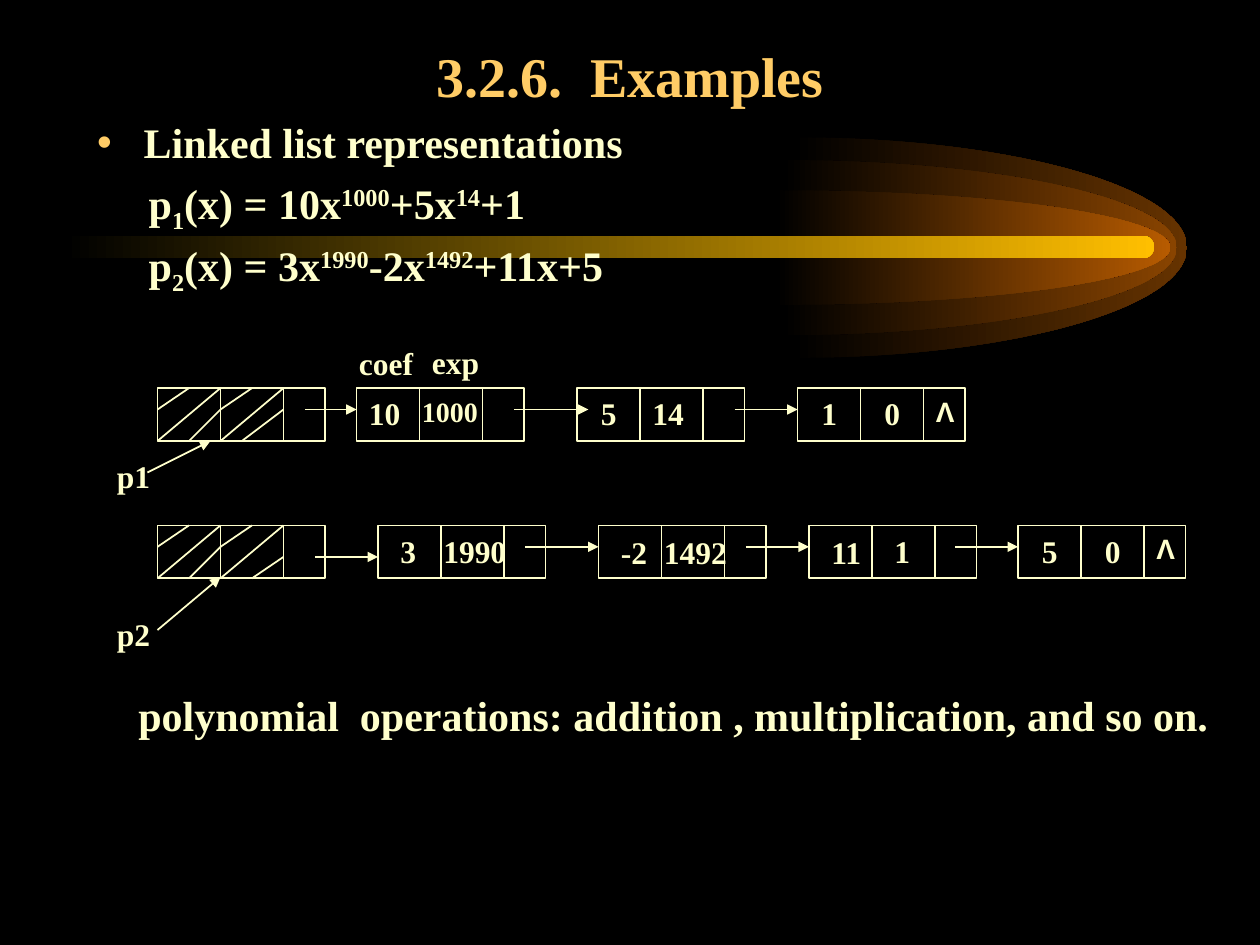
"""Build the slide on linked list representations of polynomials."""
from lxml import etree
from pptx import Presentation
from pptx.dml.color import RGBColor
from pptx.enum import shapes, text
from pptx.oxml import ns
from pptx.util import Inches, Pt

COLORS = {"back": "000000", "title": "FFCC66", "text": "FFFFCC", "bar": "FFBF00",
          "outer": "663300", "middle": "894400", "inner": "B75B00"}
SERIF, SANS = "Times New Roman", "Arial"

TITLE = "3.2.6.  Examples"
BODY = [
    [("Linked list representations", 0)],
    [("p", 0), ("1", -25), ("(x) = 10x", 0), ("1000", 30), ("+5x", 0), ("14", 30), ("+1", 0)],
    [("p", 0), ("2", -25), ("(x) = 3x", 0), ("1990", 30), ("-2x", 0), ("1492", 30), ("+11x+5", 0)],
]
CLOSING = "polynomial  operations: addition , multiplication, and so on."

COMET = [(6.29, 1.09, 1.75, "outer"), (6.21, 1.27, 1.39, "middle"), (6.16, 1.51, 0.91, "inner")]
COMET_W, BEND = 3.13, 0.55
HALF_ELLIPSE = [(BEND, -1), (1, -BEND), (1, 0), (1, BEND), (BEND, 1), (0, 1)]

NODE_W, NODE_H, CELL_W = 1.33, 0.42, 0.5
HEAD_X = 1.25
HATCH = [(0.25, 0, 0, 0.17), (0.5, 0, 0, 0.42), (0.5, 0.17, 0.25, 0.42),
         (0.75, 0, 0.5, 0.17), (1, 0, 0.5, 0.42)]
LISTS = [
    {
        "top": 3.08,
        "nodes": [HEAD_X, 2.83, 4.58, 6.33],
        "links": [(2.42, 2.83, 0.17), (4.08, 4.67, 0.17), (5.83, 6.33, 0.17)],
        "hatch": (1, 0.17, 0.67, 0.42),
        "pointer": (1.17, 3.75, 1.67, 3.5),
        "labels": [("10", 2.83, 0, 0.67), ("1000", 3.25, 0, 0.92), ("5", 4.67, 0, 0.58),
                   ("14", 5.08, 0, 0.83), ("1", 6.42, 0, 0.5), ("0", 6.92, 0, 0.42),
                   ("Λ", 7.33, 0, 0.33), ("p1", 0.83, 0.5, 0.58),
                   ("coef", 2.75, -0.4, 0.75), ("exp", 3.33, -0.41, 1)],
    },
    {
        "top": 4.17,
        "nodes": [HEAD_X, 3, 4.75, 6.42, 8.08],
        "links": [(2.5, 3, 0.25), (4.17, 4.75, 0.17), (5.92, 6.42, 0.17), (7.58, 8.08, 0.17)],
        "hatch": (1, 0.25, 0.75, 0.42),
        "pointer": (1.25, 5, 1.75, 4.58),
        "labels": [("3", 3.08, 0, 0.42), ("1990", 3.42, 0, 0.83), ("-2", 4.83, 0.01, 0.5),
                   ("1492", 5.17, 0.01, 0.75), ("11", 6.5, 0.01, 0.5), ("1", 7, 0, 0.5),
                   ("5", 8.17, 0, 0.5), ("0", 8.67, 0, 0.58), ("Λ", 9.08, 0, 0.42),
                   ("p2", 0.83, 0.66, 0.75)],
    },
]
LABEL_FORMAT = {"1000": (16, SERIF), "Λ": (16, SANS)}


def rgb(name):
    return RGBColor.from_string(COLORS[name])


def place(sp, *box):
    for key, value in zip(("left", "top", "width", "height"), box):
        setattr(sp, key, Inches(value))


def add_run(p, words, size, color="text", name=SERIF, shift=0):
    r = p.add_run()
    r.text = words
    for key, value in {"size": Pt(size), "bold": True, "name": name}.items():
        setattr(r.font, key, value)
    r.font.color.rgb = rgb(color)
    if shift:
        r.font._element.set("baseline", str(shift * 1000))


def add_label(s, words, x, y, w, h, size, name=SERIF):
    tf = s.shapes.add_textbox(*map(Inches, (x, y, w, h))).text_frame
    tf.word_wrap = True
    add_run(tf.paragraphs[0], words, size, name=name)


def add_line(s, x1, y1, x2, y2, arrow=False):
    c = s.shapes.add_connector(shapes.MSO_CONNECTOR.STRAIGHT, *map(Inches, (x1, y1, x2, y2)))
    c.line.color.rgb, c.line.width = rgb("text"), Pt(1)
    if arrow:
        etree.SubElement(c.line._get_or_add_ln(), ns.qn("a:tailEnd"), type="triangle")
    etree.SubElement(c._element.spPr, ns.qn("a:effectLst"))


def fade(sp, color, front):
    sp.shadow.inherit = False
    sp.line.fill.background()
    sp.fill.gradient()
    sp.fill.gradient_angle = 0
    for stop, name in zip(sp.fill.gradient_stops, ("back", color)):
        stop.color.rgb = rgb(name)
    front.element.addprevious(sp.element)


def curve(sp):
    segments = list(sp.element.iter(ns.qn("a:lnTo")))
    for i in (0, 3):
        bez = etree.Element(ns.qn("a:cubicBezTo"))
        segments[i].addprevious(bez)
        for seg in segments[i:i + 3]:
            bez.append(seg[0])
            seg.getparent().remove(seg)


def add_comet(s, front):
    for x, y, h, color in COMET:
        middle = y + h / 2
        fb = s.shapes.build_freeform(Inches(x), Inches(y))
        fb.add_line_segments([(Inches(x + COMET_W * dx), Inches(middle + h / 2 * dy))
                              for dx, dy in HALF_ELLIPSE + [(0, 0)]], close=True)
        sp = fb.convert_to_shape()
        curve(sp)
        fade(sp, color, front)
    bar = s.shapes.add_shape(shapes.MSO_SHAPE.ROUNDED_RECTANGLE, 0, 0, 0, 0)
    place(bar, 0.5, 1.87, 8.66, 0.18)
    bar.adjustments[0] = 0.5
    fade(bar, "bar", front)


def fill_title(sp):
    place(sp, 0.75, 0.33, 8.5, 0.58)
    tf = sp.text_frame
    tf.auto_size, tf.vertical_anchor = text.MSO_AUTO_SIZE.NONE, text.MSO_ANCHOR.BOTTOM
    p = tf.paragraphs[0]
    p.alignment = text.PP_ALIGN.CENTER
    add_run(p, TITLE, 32, "title")


def fill_body(sp):
    place(sp, 0.67, 0.92, 8.5, 4.67)
    tf = sp.text_frame
    tf.auto_size = text.MSO_AUTO_SIZE.NONE
    for i, runs in enumerate(BODY):
        p = tf.add_paragraph() if i else tf.paragraphs[0]
        p.line_spacing, p.space_before = 0.9, Pt(6 if i else 0)
        pPr = p._p.get_or_add_pPr()
        pPr.set("marL", str(Inches(0.41 if i else 0.37)))
        pPr.set("indent", str(Inches(0 if i else -0.37)))
        if i:
            etree.SubElement(pPr, ns.qn("a:buNone"))
        else:
            clr = etree.SubElement(pPr, ns.qn("a:buClr"))
            etree.SubElement(clr, ns.qn("a:srgbClr"), val=COLORS["title"])
            etree.SubElement(pPr, ns.qn("a:buChar"), char="•")
        for words, shift in runs:
            add_run(p, words, 24, shift=shift)


def add_list(s, top, nodes, links, hatch, pointer, labels):
    for x in nodes:
        box = s.shapes.add_shape(shapes.MSO_SHAPE.RECTANGLE, 0, 0, 0, 0)
        place(box, x, top, NODE_W, NODE_H)
        box.shadow.inherit = False
        box.fill.background()
        box.line.color.rgb, box.line.width = rgb("text"), Pt(1)
        for i in (1, 2):
            add_line(s, x + i * CELL_W, top, x + i * CELL_W, top + NODE_H)
    for x1, y1, x2, y2 in HATCH + [hatch]:
        add_line(s, HEAD_X + x1, top + y1, HEAD_X + x2, top + y2)
    for x1, x2, dy in links:
        add_line(s, x1, top + dy, x2, top + dy, arrow=True)
    add_line(s, *pointer, arrow=True)
    for words, x, dy, w in labels:
        size, name = LABEL_FORMAT.get(words, (18, SERIF))
        add_label(s, words, x, top + dy, w, 0.4 if size == 18 else 0.37, size, name)


def main():
    prs = Presentation()
    prs.slide_width, prs.slide_height = Inches(10), Inches(7.5)
    s = prs.slides.add_slide(prs.slide_layouts[1])
    s.background.fill.solid()
    s.background.fill.fore_color.rgb = rgb("back")
    title, body = s.placeholders
    add_comet(s, title)
    fill_title(title)
    fill_body(body)
    add_label(s, CLOSING, 1, 5.42, 8.8, 1.11, 24)
    for linked in LISTS:
        add_list(s, **linked)
    prs.save("out.pptx")


if __name__ == "__main__":
    main()
